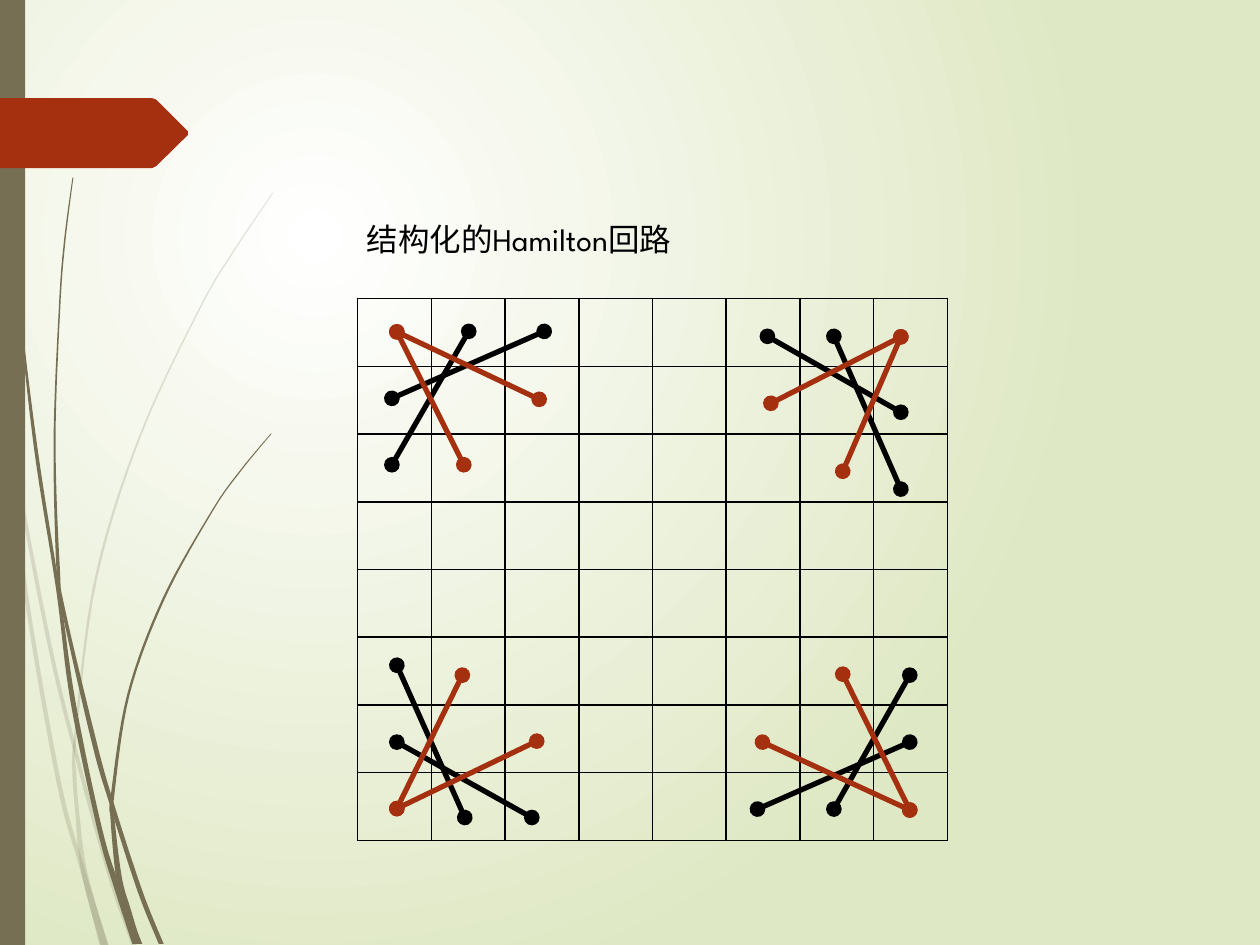
import pptx
import pptx.dml.color
import pptx.enum.shapes
import pptx.enum.text
import pptx.oxml
import pptx.oxml.ns
import pptx.util
from lxml import etree
from pptx.util import Cm

RGBColor = pptx.dml.color.RGBColor
WHITE = RGBColor(0xFF, 0xFF, 0xFF)
BLACK = RGBColor(0, 0, 0)
PALE_GREEN = RGBColor(0xDF, 0xE8, 0xC4)
OLIVE = RGBColor(0x76, 0x6F, 0x54)
RUST = RGBColor(0xA5, 0x30, 0x10)

TITLE = "结构化的Hamilton回路"
FONT = "League Spartan"
GRID_SIZE = 8
BOARD = (7.21, 6.02, 11.89, 10.92)  # left, top, width, height

# Knight moves as pairs of points, in cm
BLACK_MOVES = [
    ((9.45, 6.68), (7.9, 9.37)), ((10.97, 6.68), (7.9, 8.03)),
    ((18.16, 8.31), (15.47, 6.78)), ((18.16, 9.86), (16.81, 6.78)),
    ((16.81, 16.31), (18.34, 13.61)), ((15.27, 16.31), (18.34, 14.96)),
    ((8, 14.96), (10.72, 16.48)), ((8, 13.41), (9.37, 16.48)),
]
# Corner square followed by the two squares it leads to
CORNER_MOVES = [
    ((8, 6.69), (9.35, 9.37), (10.87, 8.05)),
    ((18.16, 6.79), (15.54, 8.13), (16.99, 9.5)),
    ((18.34, 16.33), (16.99, 13.59), (15.37, 14.96)),
    ((8, 16.3), (10.82, 14.94), (9.32, 13.61)),
]

# Grass blades from tip to root: x, y, thickness in cm
PALE_BLADES = [
    [(0.03, 7.37, 0.03), (0.2, 8.89, 0.05), (0.52, 11.94, 0.08),
     (1.18, 15.75, 0.09), (1.65, 17.48, 0.1), (2.1, 19.05, 0.18)],
    [(0.25, 8.76, 0.02), (0.53, 10.6, 0.07), (1.05, 13.23, 0.08),
     (1.52, 15.14, 0.08), (2.2, 17.6, 0.09), (2.7, 19.05, 0.1)],
    [(5.5, 3.89, 0.02), (4.74, 5.02, 0.03), (4.03, 6.21, 0.03),
     (2.8, 8.85, 0.04), (1.92, 11.72, 0.05), (1.52, 14.83, 0.05),
     (1.5, 15.6, 0.08), (1.56, 16.41, 0.08), (1.7, 17.58, 0.12),
     (2.1, 19.05, 0.15)],
]
DARK_BLADES = [
    [(0.06, 0, 0.02), (0.14, 2.79, 0.02), (0.37, 5.92, 0.03),
     (0.72, 9.02, 0.07), (1.17, 11.9, 0.07), (1.47, 14.13, 0.1),
     (2.01, 16.71, 0.1), (2.37, 17.91, 0.13), (2.77, 19.03, 0.2)],
    [(1.47, 3.58, 0.02), (1.3, 4.9, 0.03), (1.2, 6.22, 0.03),
     (1.1, 8.86, 0.04), (1.17, 11.43, 0.07), (1.28, 12.3, 0.07),
     (1.91, 15.01, 0.1), (2.27, 16.26, 0.09), (2.82, 17.96, 0.1),
     (3.25, 19.03, 0.1)],
    [(5.47, 8.74, 0.02), (4.85, 9.49, 0.03), (4.28, 10.3, 0.03),
     (3.3, 12.07, 0.05), (2.59, 14, 0.05), (2.27, 16.04, 0.07),
     (2.27, 16.51, 0.08), (2.4, 17.7, 0.12), (2.57, 18.34, 0.14),
     (2.77, 19.03, 0.15)],
]
TAB = [(0, 1.98), (3.07, 1.98), (3.15, 2.01), (3.79, 2.65),
       (3.79, 2.72), (3.15, 3.35), (3.07, 3.39), (0, 3.39)]


def add_child(parent, tag, **attributes):
    return etree.SubElement(parent, pptx.oxml.ns.qn(tag), attributes)


def paint(shape, color):
    shape.shadow.inherit = False
    shape.fill.solid()
    shape.fill.fore_color.rgb = color
    shape.line.fill.background()


def set_background(slide):
    fill = slide.background.fill
    fill.gradient()
    for stop, color in zip(fill.gradient_stops, (WHITE, PALE_GREEN)):
        stop.color.rgb = color
    gradient = slide.background._cSld.find(".//" + pptx.oxml.ns.qn("a:gradFill"))
    gradient.remove(gradient.find(pptx.oxml.ns.qn("a:lin")))
    circle = add_child(gradient, "a:path")
    circle.set("path", "circle")
    add_child(circle, "a:fillToRect", l="50000", t="50000", r="100000", b="100000")


def add_polygon(slide, points, color):
    corners = [(Cm(x), Cm(y)) for x, y in points]
    builder = slide.shapes.build_freeform(*corners[0])
    builder.add_line_segments(corners[1:], close=True)
    shape = builder.convert_to_shape()
    paint(shape, color)
    return shape


def smooth(points, steps=8):
    """Sample a Catmull-Rom curve through the points."""
    padded = [points[0], *points, points[-1]]
    curve = []
    for knots in zip(padded, padded[1:], padded[2:], padded[3:]):
        for step in range(steps):
            t = step / steps
            curve.append(tuple(
                b + t * (c - a) / 2 + t**2 * (2 * a - 5 * b + 4 * c - d) / 2
                + t**3 * (3 * b - a - 3 * c + d) / 2
                for a, b, c, d in zip(*knots)))
    return curve + [points[-1]]


def add_blade(slide, points):
    curve = smooth(points)
    left = [(x - width / 2, y) for x, y, width in curve]
    right = [(x + width / 2, y) for x, y, width in reversed(curve)]
    return add_polygon(slide, left + right, OLIVE)


def add_decoration(slide):
    for points in PALE_BLADES:
        blade = add_blade(slide, points)
        color = blade.fill._xPr.find(".//" + pptx.oxml.ns.qn("a:srgbClr"))
        add_child(color, "a:alpha", val="20000")
    for points in DARK_BLADES:
        add_blade(slide, points)
    rectangle = pptx.enum.shapes.MSO_SHAPE.RECTANGLE
    side_bar = slide.shapes.add_shape(rectangle, 0, 0, Cm(0.51), Cm(19.05))
    paint(side_bar, OLIVE)
    add_polygon(slide, TAB, RUST)


def add_board(slide):
    left, top, width, height = map(Cm, BOARD)
    table = slide.shapes.add_table(
        GRID_SIZE, GRID_SIZE, left, top, width, height).table
    table.first_row = table.horz_banding = False
    for cell in table.iter_cells():
        properties = cell._tc.get_or_add_tcPr()
        for side in ("a:lnL", "a:lnR", "a:lnT", "a:lnB"):
            border = add_child(properties, side, w=str(pptx.util.Pt(1)))
            fill = add_child(border, "a:solidFill")
            add_child(fill, "a:srgbClr", val=str(BLACK))
        cell.fill.background()


def add_title(slide):
    box = slide.shapes.add_textbox(Cm(7.14), Cm(4.32), Cm(7.11), Cm(1.02))
    frame = box.text_frame
    frame.word_wrap = False
    frame.auto_size = pptx.enum.text.MSO_AUTO_SIZE.SHAPE_TO_FIT_TEXT
    paragraph = frame.paragraphs[0]
    paragraph.text = TITLE
    paragraph.font.name = FONT
    paragraph.font.size = pptx.util.Pt(18)
    paragraph.font.color.rgb = BLACK


def add_move(slide, start, end, color):
    connector = slide.shapes.add_connector(
        pptx.enum.shapes.MSO_CONNECTOR.STRAIGHT, *map(Cm, start + end))
    connector.line.color.rgb = color
    connector.line.width = pptx.util.Pt(3)
    line = connector.line._get_or_add_ln()
    add_child(line, "a:headEnd", type="oval")
    add_child(line, "a:tailEnd", type="oval")
    add_child(connector._element.spPr, "a:effectLst")


def main():
    presentation = pptx.Presentation()
    presentation.slide_width, presentation.slide_height = Cm(25.4), Cm(19.05)
    slide = presentation.slides.add_slide(presentation.slide_layouts[6])
    set_background(slide)
    add_decoration(slide)
    add_board(slide)
    add_title(slide)
    for start, end in BLACK_MOVES:
        add_move(slide, start, end, BLACK)
    for corner, *ends in CORNER_MOVES:
        for end in ends:
            add_move(slide, corner, end, RUST)
    presentation.save("out.pptx")


if __name__ == "__main__":
    main()
